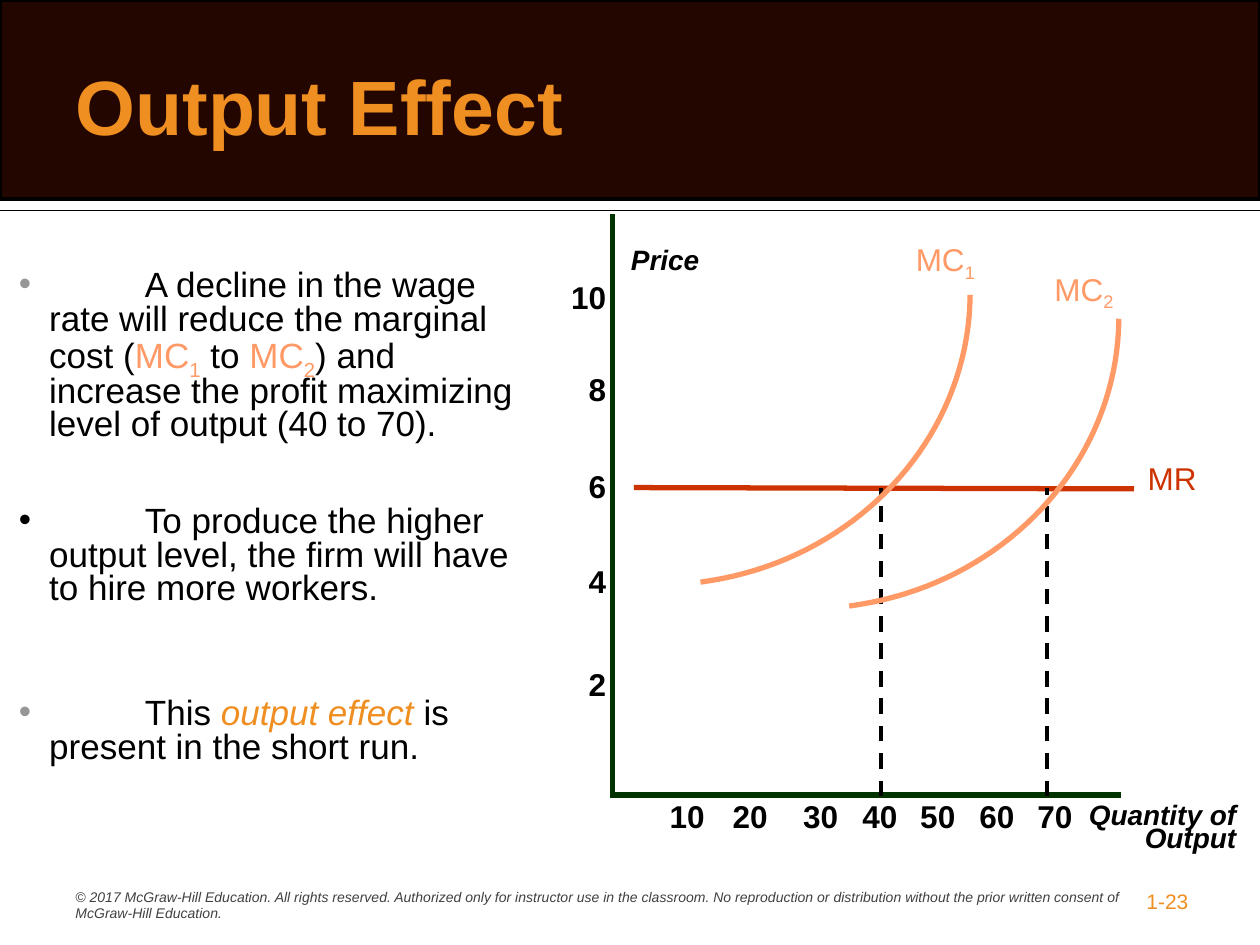
"""Build the Output Effect slide: a short list beside a marginal cost graph."""
import dataclasses

import lxml.etree
import pptx
import pptx.dml.color
import pptx.enum.dml
import pptx.enum.shapes
import pptx.enum.text
import pptx.oxml.ns
import pptx.util

Inches = pptx.util.Inches
Align = pptx.enum.text.PP_ALIGN


@dataclasses.dataclass(frozen=True)
class Theme:
    face: str = "Arial"
    black: str = "000000"
    white: str = "FFFFFF"
    band: str = "230600"
    orange: str = "EF8E21"
    gray: str = "969696"
    dim: str = "404040"
    axis: str = "003300"
    cost: str = "FF9966"
    gain: str = "CC3300"
    title: int = 44
    body: int = 20
    label: int = 18
    name: int = 16
    page: int = 12
    foot: int = 8


T = Theme()


def rgb(color):
    return pptx.dml.color.RGBColor.from_string(color)


def style(para, size, color, bold=False, italic=False):
    font = para.font
    font.name, font.size = T.face, pptx.util.Pt(size)
    font.bold, font.italic = bold, italic
    font.color.rgb = rgb(color)


def add_run(para, text, color=None, sub=False, italic=False):
    run = para.add_run()
    run.text = text
    if color:
        run.font.color.rgb = rgb(color)
    if italic:
        run.font.italic = True
    if sub:
        run._r.get_or_add_rPr().set("baseline", "-25000")


def add_text(slide, at, runs, size, color, align=Align.LEFT, space=1.0, **look):
    box = slide.shapes.add_textbox(*map(Inches, at))
    box.text_frame.word_wrap = True
    para = box.text_frame.paragraphs[0]
    para.alignment, para.line_spacing = align, space
    style(para, size, color, **look)
    for run in runs:
        add_run(para, *run)
    return box


def add_line(slide, start, end, color, width, dash=False):
    line = slide.shapes.add_connector(
        pptx.enum.shapes.MSO_CONNECTOR.STRAIGHT, *map(Inches, start + end))
    line.line.color.rgb = rgb(color)
    line.line.width = pptx.util.Pt(width)
    if dash:
        line.line.dash_style = pptx.enum.dml.MSO_LINE.DASH
    lxml.etree.SubElement(line._element.spPr, pptx.oxml.ns.qn("a:effectLst"))


def add_curve(slide, knots, color, steps=40):
    spots = []
    for i in range(steps + 1):
        t = i / steps
        parts = ((1 - t) ** 3, 3 * t * (1 - t) ** 2, 3 * t * t * (1 - t), t ** 3)
        spots.append(tuple(
            Inches(sum(p * k[axis] for p, k in zip(parts, knots)))
            for axis in (0, 1)))
    path = slide.shapes.build_freeform(*spots[0], scale=1.0)
    path.add_line_segments(spots[1:], close=False)
    curve = path.convert_to_shape()
    curve.shadow.inherit = False
    curve.fill.background()
    curve.line.color.rgb = rgb(color)
    curve.line.width = pptx.util.Pt(3)


def add_band(slide):
    band = slide.shapes.add_shape(
        pptx.enum.shapes.MSO_SHAPE.RECTANGLE, 0, 0, Inches(10), Inches(1.58))
    band.shadow.inherit = False
    band.fill.solid()
    band.fill.fore_color.rgb = rgb(T.band)
    band.line.color.rgb = rgb(T.black)
    band.line.width = pptx.util.Pt(2)
    slide.shapes._spTree.insert(2, band._element)
    add_line(slide, (0, 1.67), (10, 1.67), T.black, 1)


def place(shape, at, anchor):
    shape.left, shape.top, shape.width, shape.height = map(Inches, at)
    frame = shape.text_frame
    frame.auto_size = pptx.enum.text.MSO_AUTO_SIZE.NONE
    frame.vertical_anchor = anchor
    return frame


def set_title(slide):
    frame = place(slide.shapes.title, (0.5, 0.32, 9, 1.25),
                  pptx.enum.text.MSO_ANCHOR.MIDDLE)
    para = frame.paragraphs[0]
    para.alignment, para.line_spacing = Align.LEFT, 0.6
    style(para, T.title, T.orange, bold=True)
    add_run(para, "Output Effect")


def add_bullet(para, color):
    props = para._p.get_or_add_pPr()
    props.set("marL", str(Inches(0.24)))
    props.set("indent", str(-Inches(0.24)))
    qn = pptx.oxml.ns.qn
    tint = lxml.etree.SubElement(props, qn("a:buClr"))
    lxml.etree.SubElement(tint, qn("a:srgbClr")).set("val", color)
    lxml.etree.SubElement(props, qn("a:buChar")).set("char", "•")
    tabs = lxml.etree.SubElement(props, qn("a:tabLst"))
    stop = lxml.etree.SubElement(tabs, qn("a:tab"))
    stop.set("pos", str(Inches(1)))
    stop.set("algn", "l")


def set_list(slide):
    items = [
        (T.gray, 0, [
            ("\tA decline in the wage rate will reduce the marginal cost (",),
            ("MC", T.cost), ("1", T.cost, True), (" to ",),
            ("MC", T.cost), ("2", T.cost, True),
            (") and increase the profit maximizing level of output (40 to 70).",)]),
        (T.black, 36, [
            ("\tTo produce the higher output level, the firm will have"
             " to hire more workers.",)]),
        (T.gray, 52, [
            ("\tThis ",), ("output effect", T.orange, False, True),
            (" is present in the short run.",)]),
    ]
    frame = place(slide.placeholders[1], (0.05, 2.1, 4.21, 4.04),
                  pptx.enum.text.MSO_ANCHOR.TOP)
    for i, (dot, gap, runs) in enumerate(items):
        para = frame.add_paragraph() if i else frame.paragraphs[0]
        add_bullet(para, dot)
        para.line_spacing, para.space_before = 0.8, pptx.util.Pt(gap)
        style(para, T.body, T.black)
        for run in runs:
            add_run(para, *run)


def add_graph(slide):
    name = dict(size=T.name, color=T.black, space=0.7, bold=True, italic=True)
    price = add_text(slide, (4.91, 1.95, 1.33, 0.29), [("Price",)], **name)
    price.fill.solid()
    price.fill.fore_color.rgb = rgb(T.white)
    add_text(slide, (8.4, 6.35, 1.51, 0.48), [("Quantity of Output",)],
             align=Align.RIGHT, **name)
    add_line(slide, (4.85, 6.31), (8.9, 6.31), T.axis, 3)
    add_line(slide, (4.86, 1.7), (4.86, 6.33), T.axis, 3)

    rows = zip((10, 8, 6, 4, 2), (2.16, 2.89, 3.66, 4.41, 5.23))
    cols = zip(range(10, 80, 10), (5.69, 6.19, 6.75, 7.22, 7.68, 8.15, 8.61))
    ticks = [(n, 4.91, top) for n, top in rows] + [(n, end, 6.28) for n, end in cols]
    for n, end, top in ticks:
        add_text(slide, (end - 0.5, top, 0.5, 0.4), [(str(n),)],
                 T.label, T.black, Align.RIGHT, bold=True)

    add_line(slide, (5.03, 3.87), (9, 3.88), T.gain, 3)
    add_text(slide, (9.01, 3.59, 0.63, 0.4), [("MR",)], T.label, T.gain)
    for x in (6.99, 8.31):
        add_line(slide, (x, 6.32), (x, 3.87), T.black, 2.25, dash=True)

    knots = ((5.56, 4.62), (6.78, 4.46), (7.69, 3.49), (7.7, 2.34))
    for n, dx, dy, spot in (("1", 0, 0, (7.17, 1.86)), ("2", 1.18, 0.19, (8.27, 2.09))):
        add_text(slide, spot + (0.77, 0.4), [("MC",), (n, None, True)],
                 T.label, T.cost)
        add_curve(slide, [(x + dx, y + dy) for x, y in knots], T.cost)


def add_foot(slide):
    add_text(slide, (0.5, 7, 8.58, 0.37), [(
        "© 2017 McGraw-Hill Education. All rights reserved. Authorized only for "
        "instructor use in the classroom. No reproduction or distribution without "
        "the prior written consent of McGraw-Hill Education.",)],
        T.foot, T.dim, italic=True)
    add_text(slide, (9, 7, 0.75, 0.3), [("1-23",)], T.page, T.orange)


def main():
    deck = pptx.Presentation()
    deck.slide_width, deck.slide_height = Inches(10), Inches(7.5)
    slide = deck.slides.add_slide(deck.slide_layouts[1])
    add_band(slide)
    set_title(slide)
    set_list(slide)
    add_graph(slide)
    add_foot(slide)
    deck.save("out.pptx")


if __name__ == "__main__":
    main()
